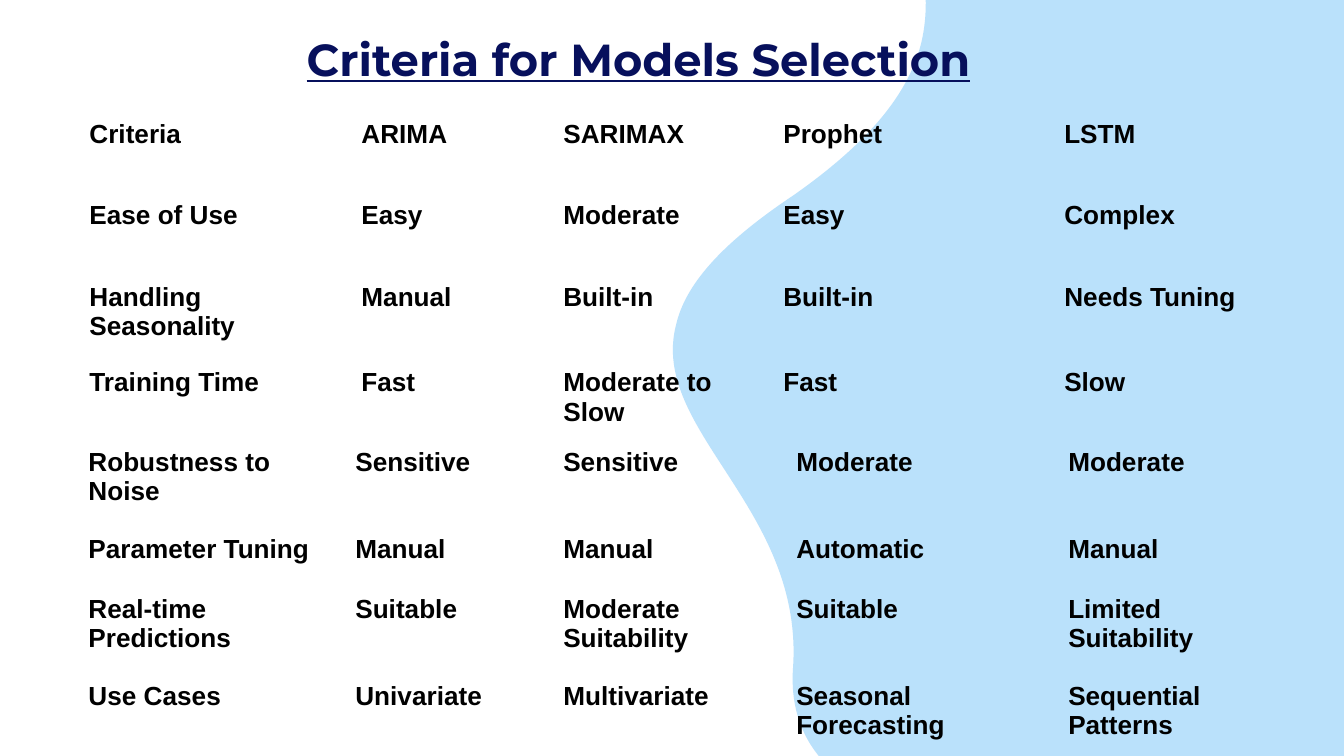
from pptx import Presentation
from pptx import util as u
from pptx.dml.color import RGBColor
from pptx.enum import text
from pptx.oxml import parse_xml
from pptx.oxml.ns import nsdecls, qn

# Content
TITLE = "Criteria for Models Selection"
TABLES = [
    {
        "left": 76, "top": 106,
        "cols": [272, 202, 220, 281, 234],
        "rows": [81, 82, 82, 82],
        "cells": [
            ["Criteria", "ARIMA", "SARIMAX", "Prophet", "LSTM"],
            ["Ease of Use", "Easy", "Moderate", "Easy", "Complex"],
            ["Handling Seasonality", "Manual", "Built-in", "Built-in", "Needs Tuning"],
            ["Training Time", "Fast", "Moderate to Slow", "Fast", "Slow"],
        ],
    },
    {
        "left": 75, "top": 434,
        "cols": [267, 208, 233, 272, 228],
        "rows": [87, 60, 87, 87],
        "cells": [
            ["Robustness to Noise", "Sensitive", "Sensitive", "Moderate", "Moderate"],
            ["Parameter Tuning", "Manual", "Manual", "Automatic", "Manual"],
            ["Real-time Predictions", "Suitable", "Moderate Suitability",
             "Suitable", "Limited Suitability"],
            ["Use Cases", "Univariate", "Multivariate",
             "Seasonal Forecasting", "Sequential Patterns"],
        ],
    },
]

# Wave outline: a start, then curves (two controls, end) or a line (end)
START = (676, 325)
PARTS = [
    [(649, 430), (804, 508), (793, 668)],
    [(778, 886), (1202, 818), (1231, 952)],
    [(1242, 1001), (1279, 1027), (1321, 1039)],
    [(1398, 1060), (1477, 1017), (1496, 945)],
    [(1758, -67)],
    [(1769, -112), (1755, -159), (1722, -192)],
    [(1661, -255), (1554, -328), (1454, -214)],
    [(1304, -42), (1177, -355), (984, -234)],
    [(939, -207), (921, -180), (914, -152)],
    [(899, -93), (939, -30), (921, 44)],
    [(909, 90), (875, 138), (794, 195)],
    [(719, 245), (685, 286), START],
]

THEME = {
    "title": {"font": "Montserrat", "size": 24, "color": "07105C"},
    "cell": {"font": "Arial", "size": 14, "color": "000000"},
    "wave": "8FCEF9",
    "alpha": 61,
}
PLAIN = "{2D5ABB26-0587-4C30-8999-92F81FD0307C}"  # no style, no grid
WIDE, HIGH, PAD = 1344, 756, u.Inches(0.1)
SCALE = u.Inches(10) / WIDE


def px(n):
    return u.Emu(round(n * SCALE))


def write(para, words, style):
    run = para.add_run()
    run.text = words
    font = run.font
    font.name, font.size, font.bold = style["font"], u.Pt(style["size"]), True
    font.color.rgb = RGBColor.from_string(style["color"])
    return run


def add_wave(slide):
    ends = [part[-1] for part in PARTS]
    build = slide.shapes.build_freeform(*START, scale=SCALE)
    build.add_line_segments(ends, close=True)
    wave = build.convert_to_shape()
    # Turn each straight side that has controls into a curve
    left, top = (min(axis) for axis in zip(*ends))
    sides = list(wave._element.iter(qn("a:lnTo")))
    for side, part in zip(sides, PARTS):
        if len(part) == 3:
            dots = "".join(f'<a:pt x="{x - left}" y="{y - top}"/>' for x, y in part)
            curve = parse_xml(f'<a:cubicBezTo {nsdecls("a")}>{dots}</a:cubicBezTo>')
            side.getparent().replace(side, curve)
    wave.shadow.inherit = False
    wave.line.fill.background()
    wave.fill.solid()
    wave.fill.fore_color.rgb = RGBColor.from_string(THEME["wave"])
    tint = wave._element.spPr.find(qn("a:solidFill")).find(qn("a:srgbClr"))
    tint.append(parse_xml(f'<a:alpha {nsdecls("a")} val="{THEME["alpha"] * 1000}"/>'))
    slide.shapes._spTree.insert(2, wave._element)  # behind the title


def add_title(slide):
    title = slide.shapes.title
    title.left, title.top, title.width, title.height = map(px, (287, 18, 703, 110))
    frame = title.text_frame
    frame.margin_left = frame.margin_right = PAD
    frame.margin_top = frame.margin_bottom = PAD
    frame.vertical_anchor = text.MSO_ANCHOR.TOP
    frame.auto_size = text.MSO_AUTO_SIZE.NONE
    frame.word_wrap = True
    para = frame.paragraphs[0]
    para.alignment = text.PP_ALIGN.CENTER
    write(para, TITLE, THEME["title"]).font.underline = True


def add_grid(slide, data):
    cols, rows = data["cols"], data["rows"]
    box = map(px, (data["left"], data["top"], sum(cols), sum(rows)))
    grid = slide.shapes.add_table(len(rows), len(cols), *box).table
    grid.first_row = grid.horz_banding = False
    grid._tbl.tblPr.find(qn("a:tableStyleId")).text = PLAIN
    for col, wide in zip(grid.columns, cols):
        col.width = px(wide)
    for row, high, line in zip(grid.rows, rows, data["cells"]):
        row.height = px(high)
        for cell, words in zip(row.cells, line):
            cell.fill.background()
            cell.margin_left = cell.margin_right = PAD
            cell.margin_top = cell.margin_bottom = PAD
            write(cell.text_frame.paragraphs[0], words, THEME["cell"])


def main():
    deck = Presentation()
    deck.slide_width, deck.slide_height = px(WIDE), px(HIGH)
    slide = deck.slides.add_slide(deck.slide_layouts[5])  # title only
    add_wave(slide)
    add_title(slide)
    for data in TABLES:
        add_grid(slide, data)
    deck.save("out.pptx")


if __name__ == "__main__":
    main()
